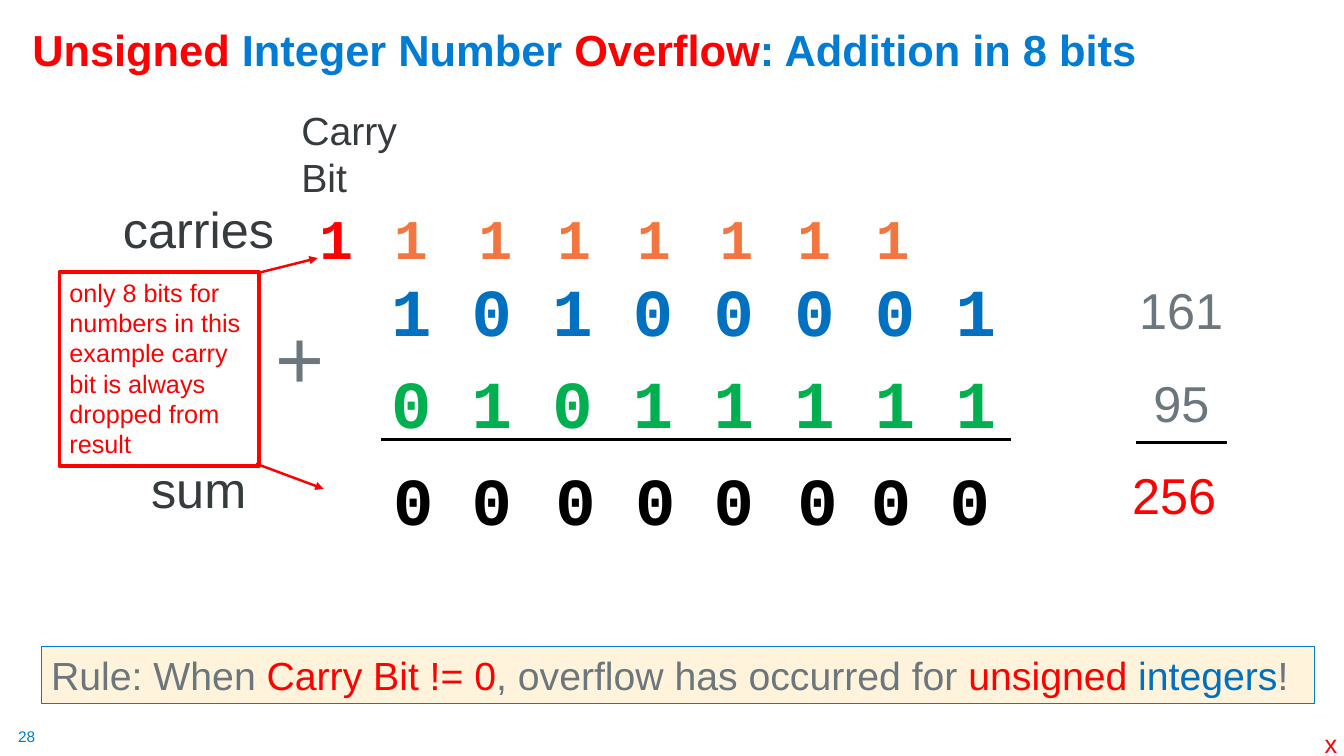
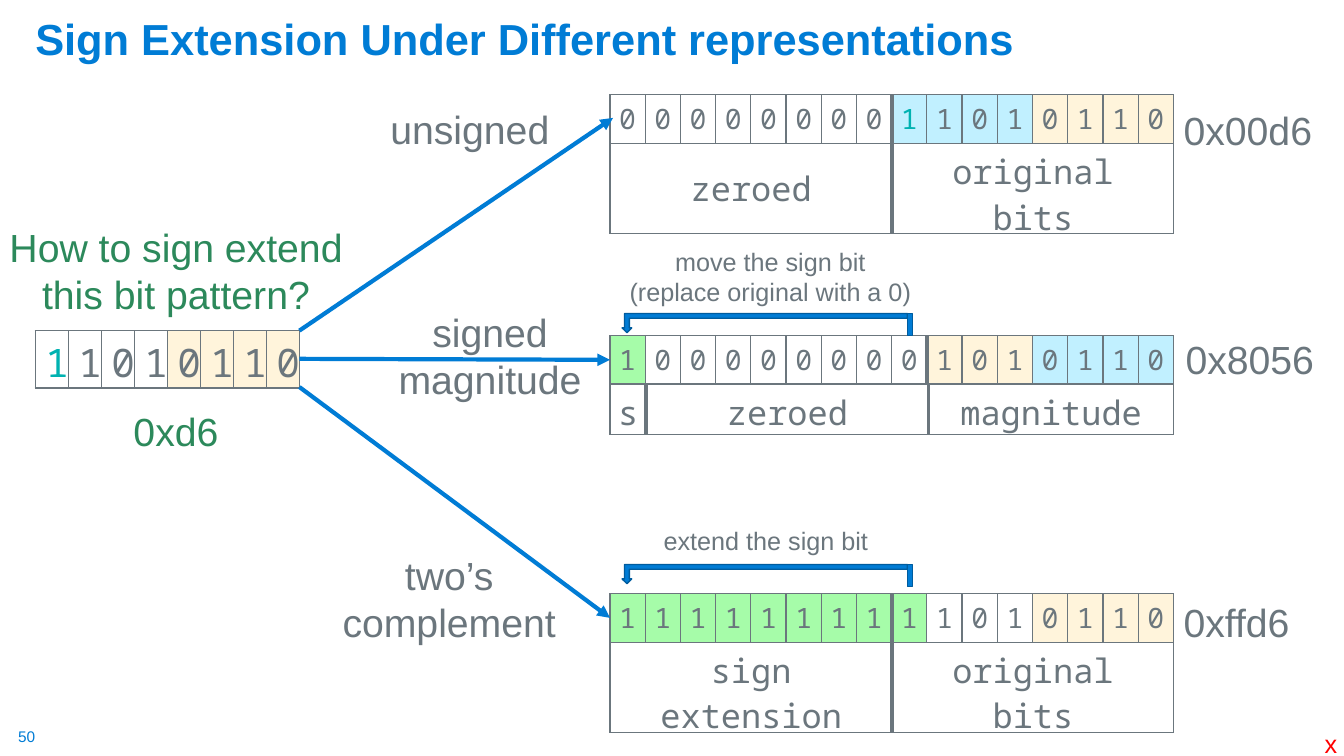
from lxml import etree
from pptx import Presentation
from pptx.dml.color import RGBColor
from pptx.enum.shapes import MSO_CONNECTOR, MSO_SHAPE
from pptx.enum.text import MSO_ANCHOR, MSO_AUTO_SIZE, PP_ALIGN
from pptx.oxml.ns import qn
from pptx.util import Inches, Pt

STRAIGHT = MSO_CONNECTOR.STRAIGHT
RECT, BENT_ARROW = MSO_SHAPE.RECTANGLE, MSO_SHAPE.BENT_UP_ARROW
LEFT, CENTER = PP_ALIGN.LEFT, PP_ALIGN.CENTER
TOP, MIDDLE, BOTTOM = MSO_ANCHOR.TOP, MSO_ANCHOR.MIDDLE, MSO_ANCHOR.BOTTOM
GROW, NO_FIT = MSO_AUTO_SIZE.SHAPE_TO_FIT_TEXT, MSO_AUTO_SIZE.NONE

BLUE = RGBColor(0x00, 0x7C, 0xD5)
DARK_BLUE = RGBColor(0x00, 0x5C, 0x9E)
BIT_BLUE = RGBColor(0x00, 0x70, 0xC0)
BIT_GREEN = RGBColor(0x00, 0xB0, 0x50)
RED = RGBColor(0xFF, 0x00, 0x00)
ORANGE = RGBColor(0xF3, 0x75, 0x3F)
BLACK = RGBColor(0x00, 0x00, 0x00)
GRAY = RGBColor(0x6B, 0x76, 0x7D)
DARK = RGBColor(0x36, 0x3B, 0x3E)
GREEN = RGBColor(0x2C, 0x89, 0x5B)
TEAL = RGBColor(0x00, 0xB2, 0xB1)
CREAM = RGBColor(0xFF, 0xF4, 0xDB)
FILLS = {"c": CREAM, "b": RGBColor(0xC1, 0xF0, 0xFF), "g": RGBColor(0xA6, 0xFC, 0xA9)}
SANS, CODE, MONO = "Arial", "Courier New", "Noto Sans Mono"

OVERFLOW_TITLE = [("Unsigned", RED), (" Integer Number ", BLUE), ("Overflow", RED),
                  (": Addition in 8 bits", BLUE)]
OPERANDS = [("1 0 1 0 0 0 0 1", 2.62, BIT_BLUE), ("0 1 0 1 1 1 1 1", 3.54, BIT_GREEN)]
CARRY_LEFTS = [3.07, 3.81, 4.65, 5.43, 6.22, 7.04, 7.81, 8.59]
SUM_LEFTS = [3.8, 4.58, 5.41, 6.2, 6.98, 7.81, 8.54, 9.32]
SUM_LABELS = [
    ("+", (2.63, 2.98, 0.69, 1.11), 60, GRAY),
    ("carries", (1.12, 1.92, 1.72, 0.71), 36, DARK),
    ("sum", (1.4, 4.5, 1.16, 0.71), 36, DARK),
    ("161", (11.2, 2.72, 1.04, 0.71), 36, GRAY),
    ("95", (11.34, 3.64, 0.76, 0.71), 36, GRAY),
    ("256", (11.13, 4.56, 1.04, 0.71), 36, RED),
    ("Carry\nBit", (2.89, 1.01, 1.21, 1.04), 28, DARK),
]
RULE = [("Rule: When ", GRAY), ("Carry Bit != 0", RED), (", overflow has occurred for ", GRAY),
        ("unsigned", RED), (" integers", BIT_BLUE), ("!", GRAY)]
CALLOUT = "only 8 bits for numbers in this example carry bit is always dropped from result"
SUM_RULES = [(3.78, 10.03, 4.36), (11.27, 12.17, 4.39)]
CALLOUT_ARROWS = [((2.55, 2.71), (3.15, 2.56)), ((2.54, 4.6), (3.21, 4.85))]

WORD_LEFT, WORD_WIDTH, BIT_HEIGHT = 6.05, 5.59, 0.48
EXTENSIONS = [
    dict(top=0.94, bits="0000000011010110", fills="--------bbbbcccc", splits=[8], teal=8,
         parts=[("zeroed", 2.8), ("original bits", 2.79)],
         name="unsigned", name_at=(3.76, 1, 1.8, 0.57),
         hex="0x00d6", hex_at=(11.64, 1.01, 1.49, 0.57),
         arrow=((2.97, 3.28), (6.08, 1.17))),
    dict(top=3.33, bits="1000000001010110", fills="g--------cccbbbb", splits=[9], teal=None,
         parts=[("s", 0.36), ("zeroed", 2.8), ("magnitude", 2.43)],
         name="signed\nmagnitude", name_at=(3.84, 3.01, 2.04, 1.04),
         hex="0x8056", hex_at=(11.66, 3.28, 1.49, 0.57),
         arrow=((2.97, 3.56), (6.05, 3.57))),
    dict(top=5.89, bits="1111111111010110", fills="ggggggggg---cccc", splits=[8], teal=None,
         parts=[("sign extension", 2.8), ("original bits", 2.79)],
         name="two’s\ncomplement", name_at=(3.28, 5.42, 2.35, 1.04),
         hex="0xffd6", hex_at=(11.64, 5.89, 1.27, 0.57),
         arrow=((2.97, 3.84), (6.05, 6.13))),
]
SIGN_MOVES = [
    ("move the sign bit\n(replace original with a 0)", (6.13, 2.39, 3.02, 0.71), 3.11),
    ("extend the sign bit", (6.47, 5.16, 2.25, 0.4), 5.6),
]


def box(at):
    return [Inches(v) for v in at]


def write(tf, content, size, color=None, font=SANS, bold=False, align=LEFT):
    if isinstance(content, str):
        tf.text = content
        colors = [color]
    else:
        for text, _ in content:
            tf.paragraphs[0].add_run().text = text
        colors = [c for _, c in content]
    for p in tf.paragraphs:
        p.alignment = align
        for i, r in enumerate(p.runs):
            r.font.name, r.font.size, r.font.bold = font, Pt(size), bold
            r.font.color.rgb = colors[i] if len(colors) > 1 else colors[0]


def add_text(s, content, at, size, color=None, wrap=True, **style):
    tf = s.shapes.add_textbox(*box(at)).text_frame
    tf.word_wrap, tf.auto_size = wrap, GROW
    write(tf, content, size, color, **style)
    return tf


def add_shape(s, kind, at, line, width, fill=None):
    sp = s.shapes.add_shape(kind, *box(at))
    sp.shadow.inherit = False
    if fill is None:
        sp.fill.background()
    else:
        sp.fill.solid()
        sp.fill.fore_color.rgb = fill
    sp.line.color.rgb, sp.line.width = line, Pt(width)
    return sp


def add_text_rect(s, content, at, size, line, width, color=None, fill=None):
    tf = add_shape(s, RECT, at, line, width, fill).text_frame
    tf.word_wrap, tf.vertical_anchor = True, TOP
    write(tf, content, size, color)


def add_line(s, start, end, color, width, arrow=False):
    line = s.shapes.add_connector(STRAIGHT, *box(start + end))
    line.line.color.rgb, line.line.width = color, Pt(width)
    if arrow:
        etree.SubElement(line.line._get_or_add_ln(), qn("a:tailEnd"), type="triangle")
    etree.SubElement(line._element.spPr, qn("a:effectLst"))


def set_border(cell, side, width):
    ln = etree.SubElement(cell._tc.get_or_add_tcPr(), qn("a:ln" + side), w=str(Pt(width)))
    fill = etree.SubElement(ln, qn("a:solidFill"))
    etree.SubElement(fill, qn("a:srgbClr"), val=str(GRAY))


def add_row(s, texts, left, top, widths, height, size, fills=None, splits=(), teal=None, margin=0.1):
    frame = s.shapes.add_table(1, len(texts), *box((left, top, sum(widths), height)))
    table = frame.table
    table.first_row = table.horz_banding = False
    table.rows[0].height = Inches(height)
    for i, text in enumerate(texts):
        table.columns[i].width = Inches(widths[i])
        cell = table.cell(0, i)
        for side, thick in (("L", i in splits), ("R", i + 1 in splits), ("T", False), ("B", False)):
            set_border(cell, side, 3 if thick else 1)
        color = FILLS.get(fills[i]) if fills else None
        if color is None:
            cell.fill.background()
        else:
            cell.fill.solid()
            cell.fill.fore_color.rgb = color
        cell.margin_left = Inches(margin if widths[i] > 0.4 or size == 28 else 0)
        cell.margin_right = Inches(margin if widths[i] > 0.4 else 0)
        cell.vertical_anchor = MIDDLE
        write(cell.text_frame, text, size, TEAL if i == teal else GRAY, MONO, align=CENTER)


def new_slide(prs, title, title_at, number):
    s = prs.slides.add_slide(prs.slide_layouts[5])
    sp = s.shapes.title
    sp.left, sp.top, sp.width, sp.height = box(title_at)
    tf = sp.text_frame
    tf.auto_size, tf.vertical_anchor, tf.word_wrap = NO_FIT, BOTTOM, True
    write(tf, title, 31, BLUE, bold=True)
    tf.paragraphs[0].line_spacing = 0.9
    tf = add_text(s, number, (0.18, 7.21, 0.19, 0.19), 11, BLUE, wrap=False)
    tf.margin_left = tf.margin_right = tf.margin_top = tf.margin_bottom = 0
    add_text(s, "x", (13.04, 7.18, 0.33, 0.4), 18, RED, wrap=False)
    return s


def overflow_slide(prs):
    s = new_slide(prs, OVERFLOW_TITLE, (0.22, 0.02, 11.4, 0.78), "28")
    for bits, top, color in OPERANDS:
        add_text(s, bits, (3.78, top, 6.25, 0.91), 48, color, font=CODE, bold=True)
    for left in SUM_LEFTS:
        add_text(s, "0", (left, 4.5, 0.61, 0.91), 48, BLACK, wrap=False, font=CODE, bold=True)
    for i, left in enumerate(CARRY_LEFTS):
        add_text(s, "1", (left, 1.97, 0.54, 0.77), 40, ORANGE if i else RED, font=CODE, bold=True)
    for text, at, size, color in SUM_LABELS:
        add_text(s, text, at, size, color)
    for left, right, y in SUM_RULES:
        add_line(s, (left, y), (right, y), BLACK, 2.75)
    add_text_rect(s, RULE, (0.41, 6.41, 12.63, 0.57), 28, BLUE, 0.75, fill=CREAM)
    add_text_rect(s, CALLOUT, (0.59, 2.7, 1.98, 1.92), 18, RED, 2.75, color=RED)
    for start, end in CALLOUT_ARROWS:
        add_line(s, start, end, RED, 1.75, arrow=True)


def extension_slide(prs):
    s = new_slide(prs, "Sign Extension Under Different representations",
                  (0.25, 0.09, 12.66, 0.6), "50")
    for e in EXTENSIONS:
        add_row(s, e["bits"], WORD_LEFT, e["top"], [WORD_WIDTH / 16] * 16, BIT_HEIGHT, 20,
                e["fills"], e["splits"], e["teal"])
        names, widths = zip(*e["parts"])
        add_row(s, names, WORD_LEFT, e["top"] + BIT_HEIGHT, widths, 0.5, 24,
                splits=range(1, len(names)))
    add_row(s, "11010110", 0.35, 3.28, [2.62 / 8] * 8, 0.57, 28, "----cccc", teal=0)
    question = add_text(s, "How to sign extend this bit pattern?\n0xd6", (-0.08, 2.17, 3.65, 2.46),
                        28, GREEN, align=CENTER)
    question.paragraphs[1].space_before = Pt(64)
    for e in EXTENSIONS:
        add_text(s, e["hex"], e["hex_at"], 28, GRAY, wrap=False)
        add_text(s, e["name"], e["name_at"], 28, GRAY, wrap=False, align=CENTER)
        add_line(s, *e["arrow"], BLUE, 3, arrow=True)
    for text, at, top in SIGN_MOVES:
        add_text(s, text, at, 18, GRAY, wrap=False, align=CENTER)
        add_shape(s, BENT_ARROW, (6.17, top, 2.83, 0.19), DARK_BLUE, 1, BLUE).rotation = 180
        add_shape(s, RECT, (9, top, 0.05, 0.22), DARK_BLUE, 1, BLUE)


def main():
    prs = Presentation()
    prs.slide_width, prs.slide_height = Inches(13.33), Inches(7.5)
    overflow_slide(prs)
    extension_slide(prs)
    prs.save("out.pptx")


if __name__ == "__main__":
    main()
